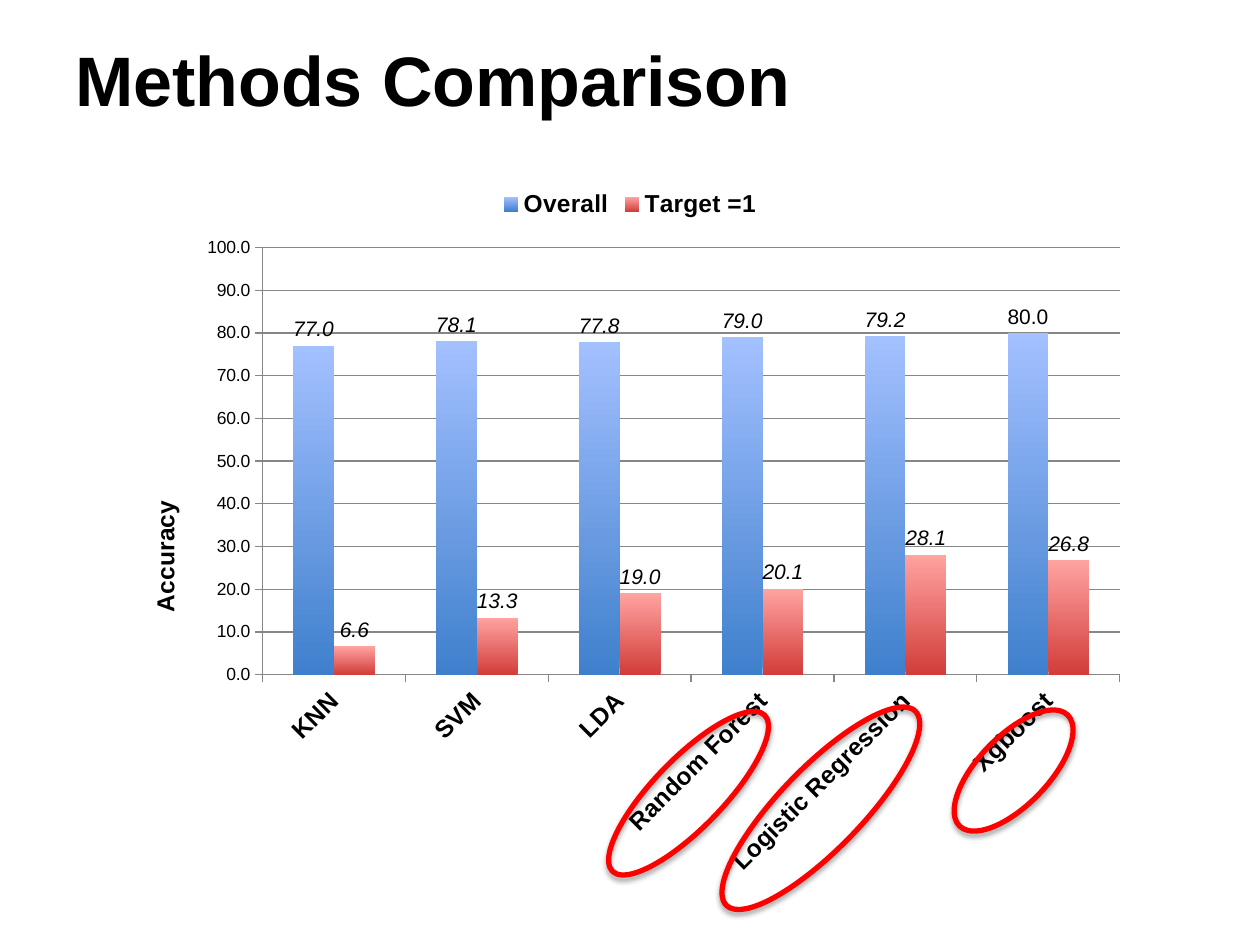
from dataclasses import dataclass

from lxml.etree import SubElement
from pptx import Presentation
from pptx.chart.data import CategoryChartData
from pptx.dml.color import RGBColor
from pptx.enum.chart import XL_CHART_TYPE as ChartType
from pptx.enum.chart import XL_LABEL_POSITION as LabelPosition
from pptx.enum.chart import XL_LEGEND_POSITION as LegendPosition
from pptx.enum.chart import XL_TICK_MARK as TickMark
from pptx.enum.shapes import MSO_SHAPE as Shape
from pptx.enum.text import MSO_ANCHOR as Anchor
from pptx.oxml import parse_xml
from pptx.oxml.ns import nsdecls, qn
from pptx.util import Inches, Pt

WIDTH, HEIGHT = Inches(10), Inches(7.5)


@dataclass(frozen=True)
class Theme:
    font: str = "Arial"
    ink: str = "000000"
    grid: str = "868686"
    mark: str = "FF0000"
    title: int = 40
    heading: int = 14
    value: int = 12
    tick: int = 10
    # Each bar fades from its foot to its top
    bars: tuple = (("3F80CD", "A3C0FF"), ("D23D3A", "FFA3A1"))


@dataclass(frozen=True)
class Box:
    """A region given in percent of the slide."""
    left: float
    top: float
    width: float
    height: float

    def place(self):
        return (int(WIDTH * self.left / 100), int(HEIGHT * self.top / 100),
                int(WIDTH * self.width / 100), int(HEIGHT * self.height / 100))


THEME = Theme()
METHODS = ("KNN", "SVM", "LDA", "Random Forest", "Logistic Regression", "Xgboost")
ACCURACY = {
    "Overall": (77.0, 78.1, 77.8, 79.0, 79.2, 80.0),
    "Target =1": (6.6, 13.3, 19.0, 20.1, 28.1, 26.8),
}
RINGS = (
    Box(46, 80.27, 17.3, 7.33),
    Box(74.3, 77.87, 12.3, 7.33),
    Box(54.4, 81.2, 21.5, 8.67),
)
RING_ANGLE = 314.2


def style_font(font, size, bold=False, italic=False):
    font.name = THEME.font
    font.size = Pt(size)
    font.bold = bold
    font.italic = italic
    font.color.rgb = RGBColor.from_string(THEME.ink)


def style_line(line, color, width):
    line.color.rgb = RGBColor.from_string(color)
    line.width = Pt(width)


def add_title(page, box, text):
    frame = page.shapes.add_textbox(*box.place()).text_frame
    frame.word_wrap = True
    frame.vertical_anchor = Anchor.MIDDLE
    span = frame.paragraphs[0].add_run()
    span.text = text
    style_font(span.font, THEME.title, bold=True)


def style_axes(chart):
    methods, scale = chart.category_axis, chart.value_axis
    for axis, size in ((methods, THEME.heading), (scale, THEME.tick)):
        style_font(axis.tick_labels.font, size, bold=axis is methods)
        style_line(axis.format.line, THEME.grid, 0.75)
        axis.major_tick_mark = TickMark.OUTSIDE
        axis.minor_tick_mark = TickMark.NONE
    # Category names climb at 45 degrees
    body = methods._element.find(qn("c:txPr")).find(qn("a:bodyPr"))
    body.set("rot", "-2700000")
    body.set("vert", "horz")

    scale.minimum_scale, scale.maximum_scale, scale.major_unit = 0, 100, 10
    scale.has_major_gridlines = True
    style_line(scale.major_gridlines.format.line, THEME.grid, 0.75)
    scale.tick_labels.number_format = "0.0"
    scale.tick_labels.number_format_is_linked = False
    frame = scale.axis_title.text_frame
    span = frame.paragraphs[0].add_run()
    span.text = "Accuracy"
    style_font(span.font, THEME.heading, bold=True)
    frame._txBody.find(qn("a:bodyPr")).set("rot", "-5400000")


def style_series(series, colors):
    fill = series.format.fill
    fill.gradient()
    fill.gradient_angle = 90
    for stop, color in zip(fill.gradient_stops, colors):
        stop.color.rgb = RGBColor.from_string(color)
    series.invert_if_negative = False
    labels = series.data_labels
    labels.show_value = True
    labels.number_format = "0.0"
    labels.number_format_is_linked = False
    labels.position = LabelPosition.OUTSIDE_END
    style_font(labels.font, THEME.value, italic=True)


def set_plot_area(chart, **shares):
    area = chart._chartSpace.chart.plotArea
    layout = area.find(qn("c:layout"))
    if layout is None:
        layout = parse_xml(f"<c:layout {nsdecls('c')}/>")
        area.insert(0, layout)
    manual = SubElement(layout, qn("c:manualLayout"))
    settings = {"layoutTarget": "inner", "xMode": "edge", "yMode": "edge", **shares}
    for name, value in settings.items():
        SubElement(manual, qn(f"c:{name}")).set("val", str(value))


def add_accuracy_chart(page, box):
    data = CategoryChartData(number_format="0.0")
    data.categories = METHODS
    for name, values in ACCURACY.items():
        data.add_series(name, values)
    chart = page.shapes.add_chart(
        ChartType.COLUMN_CLUSTERED, *box.place(), data).chart
    style_font(chart.font, THEME.tick)
    chart.has_title = False
    chart.has_legend = True
    chart.legend.position = LegendPosition.TOP
    chart.legend.include_in_layout = False
    style_font(chart.legend.font, THEME.heading, bold=True)

    plot = chart.plots[0]
    plot.gap_width, plot.overlap, plot.vary_by_categories = 150, 0, False
    for series, colors in zip(plot.series, THEME.bars):
        style_series(series, colors)
    # The best overall score stands upright
    best = plot.series[0].points[len(METHODS) - 1].data_label
    span = best.text_frame.paragraphs[0].add_run()
    span.text = "80.0"
    style_font(span.font, THEME.value)
    best.position = LabelPosition.OUTSIDE_END

    style_axes(chart)
    set_plot_area(chart, x=0.14, y=0.1, w=0.84, h=0.6)


def add_ring(page, box):
    ring = page.shapes.add_shape(Shape.OVAL, *box.place())
    ring.rotation = RING_ANGLE
    ring.fill.background()
    style_line(ring.line, THEME.mark, 3)
    # Soft shadow straight below
    ring.shadow.inherit = False
    effects = ring._element.spPr.find(qn("a:effectLst"))
    effects.append(parse_xml(
        f'<a:outerShdw {nsdecls("a")} blurRad="{Pt(3.1)}" dist="{Pt(1.8)}" '
        f'dir="5400000" rotWithShape="0"><a:srgbClr val="{THEME.ink}">'
        '<a:alpha val="35000"/></a:srgbClr></a:outerShdw>'))


def main():
    deck = Presentation()
    deck.slide_width, deck.slide_height = WIDTH, HEIGHT
    page = deck.slides.add_slide(deck.slide_layouts[6])
    add_title(page, Box(5, 0, 90, 16.67), "Methods Comparison")
    add_accuracy_chart(page, Box(9.5, 18.67, 81, 75.33))
    for box in RINGS:
        add_ring(page, box)
    deck.save("out.pptx")


if __name__ == "__main__":
    main()
